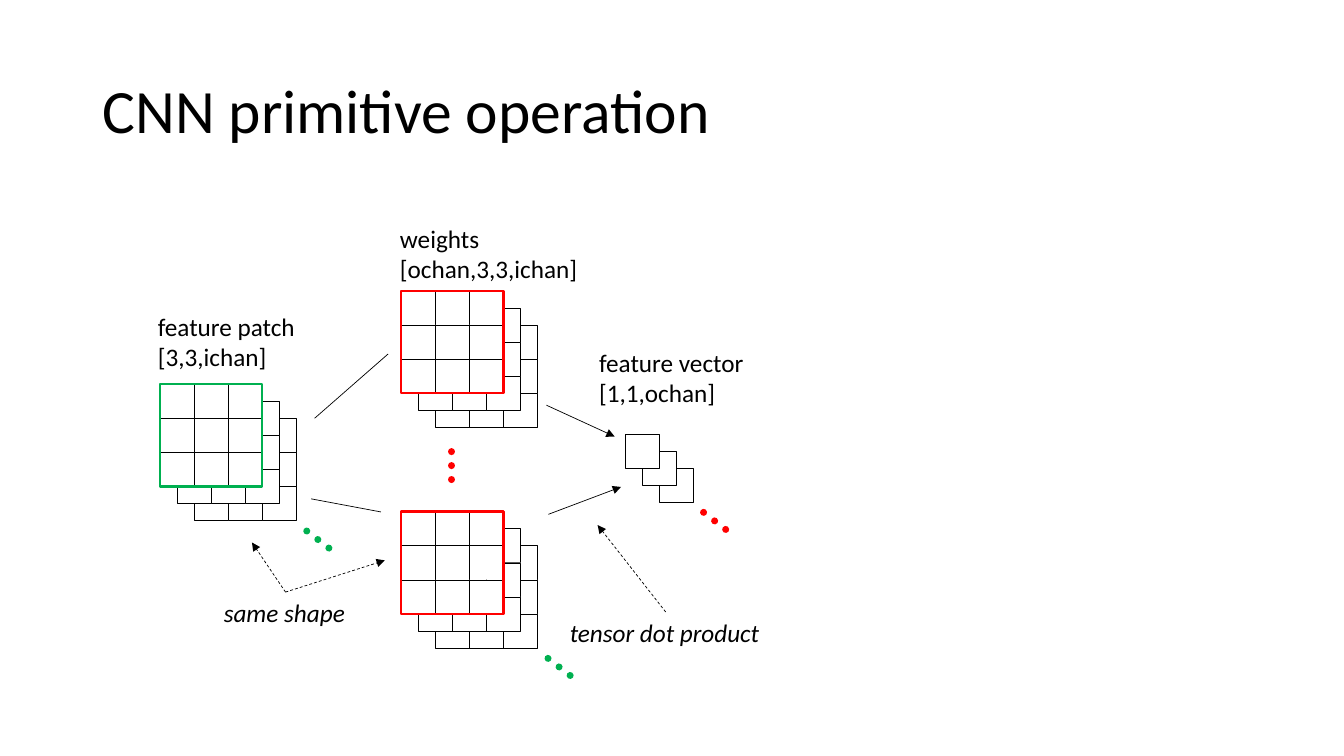
"""Build a slide that explains the primitive operation of a CNN."""
import pptx
import pptx.util
import pptx.dml.color
import pptx.enum.dml
import pptx.enum.shapes
import pptx.enum.text
import pptx.oxml
import pptx.oxml.ns
from pptx.util import Cm

FONT = "Calibri"
BLACK, WHITE, RED, GREEN = "000000", "FFFFFF", "FF0000", "00B050"
CELL = 0.86
LAYERS = 3
STEP = CELL / 2
DOT_GAP = 0.26


def colour(code):
    """Return the colour for a hex string."""
    return pptx.dml.color.RGBColor.from_string(code)


def add_square(shapes, left, top, side, line_colour=BLACK, line_width=0.25, filled=True):
    """Draw an outlined square, white or see-through."""
    square = shapes.add_shape(
        pptx.enum.shapes.MSO_SHAPE.RECTANGLE, Cm(left), Cm(top), Cm(side), Cm(side))
    square.shadow.inherit = False
    if filled:
        square.fill.solid()
        square.fill.fore_color.rgb = colour(WHITE)
    else:
        square.fill.background()
    square.line.color.rgb = colour(line_colour)
    square.line.width = pptx.util.Pt(line_width)


def add_line(page, start, end, line_colour=BLACK, width=0.5):
    """Draw a straight line between two points."""
    line = page.shapes.add_connector(
        pptx.enum.shapes.MSO_CONNECTOR.STRAIGHT, *(Cm(value) for value in (*start, *end)))
    line.line.color.rgb = colour(line_colour)
    line.line.width = pptx.util.Pt(width)
    properties = line._element.spPr
    properties.append(pptx.oxml.parse_xml(f"<a:effectLst {pptx.oxml.ns.nsdecls('a')}/>"))
    return line


def add_arrow(page, start, end):
    """Draw a line with a triangle at its end."""
    arrow = add_line(page, start, end)
    arrow.line._get_or_add_ln().append(pptx.oxml.parse_xml(
        f"<a:tailEnd {pptx.oxml.ns.nsdecls('a')} type='triangle'/>"))
    return arrow


def add_dots(page, start, width, height, dot_colour):
    """Draw a row of round dots that stands for further items."""
    left, top = start
    dots = add_line(page, start, (left + width, top + height), dot_colour, 5)
    dots.line.dash_style = pptx.enum.dml.MSO_LINE.ROUND_DOT
    dots.line._get_or_add_ln().set("cap", "rnd")


def add_label(page, left, top, width, text, italic=False):
    """Place a label with one paragraph for each line of text."""
    lines = text.split("\n")
    label = page.shapes.add_textbox(
        Cm(left), Cm(top), Cm(width), Cm(0.25 + 0.77 * len(lines)))
    frame = label.text_frame
    frame.word_wrap = False
    frame.auto_size = pptx.enum.text.MSO_AUTO_SIZE.SHAPE_TO_FIT_TEXT
    frame.text = text
    for para in frame.paragraphs:
        para.font.name = FONT
        para.font.size = pptx.util.Pt(18)
        para.font.italic = italic
        para.font.color.rgb = colour(BLACK)
    return label


def add_stack(page, left, top, cells, dot_colour=None):
    """Draw stacked grids from the front corner, back layers by their visible edges."""
    last = cells - 1
    for layer in reversed(range(LAYERS)):
        grid = page.shapes.add_group_shape() if cells > 1 else page
        for row in range(cells):
            for column in range(cells):
                if layer == 0 or last in (row, column):
                    add_square(grid.shapes, left + layer * STEP + column * CELL,
                               top + layer * STEP + row * CELL, CELL)
    if dot_colour:
        reach = cells * CELL + (LAYERS - 1) * STEP + DOT_GAP
        add_dots(page, (left + reach, top + reach), 0.57, 0.44, dot_colour)


def add_tensor(page, left, top, frame_colour, dot_colour=None):
    """Draw a framed three by three stack."""
    add_stack(page, left, top, 3, dot_colour)
    add_square(page.shapes, left, top, 3 * CELL, frame_colour, 1.75, filled=False)


def add_patch(page, left, top):
    """Draw the feature patch below its label."""
    add_label(page, left - 0.3, top - 1.96, 4, "feature patch\n[3,3,ichan]")
    add_tensor(page, left, top, GREEN, GREEN)


def add_weights(page, left, top):
    """Draw the first and last weight tensors below their label."""
    add_label(page, left - 0.28, top - 1.83, 5.03, "weights\n[ochan,3,3,ichan]")
    add_tensor(page, left, top, RED)
    add_dots(page, (left + 1.27, top + 4.05), 0, 1.04, RED)
    add_tensor(page, left, top + 5.56, RED, GREEN)


def add_vector(page, left, top):
    """Draw the feature vector below its label."""
    add_label(page, left - 0.9, top - 2.3, 4.19, "feature vector\n[1,1,ochan]")
    add_stack(page, left, top, 1, RED)


def add_note(page, left, top, width, text, targets):
    """Place an italic note with dashed arrows to its targets."""
    note = add_label(page, left, top, width, text, italic=True)
    for target in targets:
        arrow = add_arrow(page, (left + width / 2, top), target)
        arrow.line.dash_style = pptx.enum.dml.MSO_LINE.DASH
        arrow.begin_connect(note, 0)


def add_title(page, left, top, width, height, text):
    """Place and format the title."""
    title = page.shapes.title
    title.left, title.top, title.width, title.height = map(Cm, (left, top, width, height))
    frame = title.text_frame
    frame.text = text
    frame.vertical_anchor = pptx.enum.text.MSO_ANCHOR.MIDDLE
    para = frame.paragraphs[0]
    para.alignment = pptx.enum.text.PP_ALIGN.LEFT
    para.line_spacing = 0.9
    para.font.name = FONT
    para.font.size = pptx.util.Pt(44)
    para.font.color.rgb = colour(BLACK)


def main():
    """Build and save the deck."""
    deck = pptx.Presentation()
    deck.slide_width, deck.slide_height = Cm(33.87), Cm(19.05)
    page = deck.slides.add_slide(deck.slide_layouts[5])
    add_title(page, 2.33, 1.01, 29.21, 3.68, "CNN primitive operation")
    add_patch(page, 4.03, 9.68)
    add_weights(page, 10.11, 7.33)
    add_vector(page, 15.75, 10.93)
    add_line(page, (7.93, 10.54), (9.78, 8.92))
    add_line(page, (7.84, 12.57), (9.6, 12.9))
    add_arrow(page, (13.77, 10.21), (15.49, 11))
    add_arrow(page, (13.82, 12.96), (15.65, 12.27))
    add_note(page, 5.39, 14.92, 3.61, "same shape", [(6.35, 13.67), (9.7, 14.12)])
    add_note(page, 14.11, 15.42, 5.33, "tensor dot product", [(15.06, 13.23)])
    deck.save("out.pptx")


if __name__ == "__main__":
    main()
